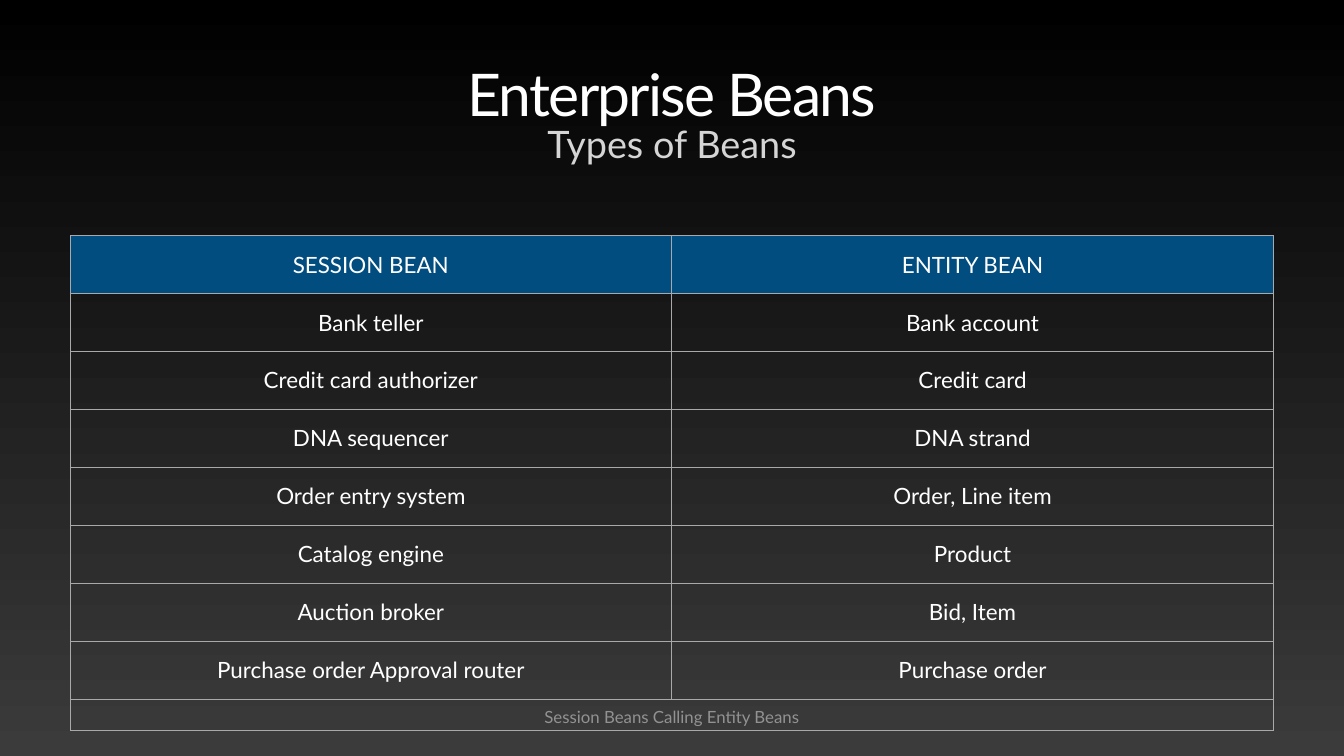
from typing import NamedTuple

from lxml.etree import SubElement
from pptx import Presentation
from pptx.dml.color import RGBColor
from pptx.enum.text import MSO_ANCHOR, MSO_AUTO_SIZE, PP_ALIGN
from pptx.oxml.ns import qn
from pptx.util import Inches, Pt

FONT = "Lato"
INSET = 0.06
COLORS = {
    "top": "000000",
    "bottom": "3B3B3B",
    "text": "FFFFFF",
    "subtitle": "D5D5D5",
    "header": "014D80",
    "border": "A9A9A9",
    "caption": "929292",
}


class BeanPair(NamedTuple):
    session: str
    entity: str


HEADER = BeanPair("SESSION BEAN", "ENTITY BEAN")
PAIRS = [
    BeanPair("Bank teller", "Bank account"),
    BeanPair("Credit card authorizer", "Credit card"),
    BeanPair("DNA sequencer", "DNA strand"),
    BeanPair("Order entry system", "Order, Line item"),
    BeanPair("Catalog engine", "Product"),
    BeanPair("Auction broker", "Bid, Item"),
    BeanPair("Purchase order Approval router", "Purchase order"),
]
CAPTION = "Session Beans Calling Entity Beans"


def color(name: str) -> RGBColor:
    return RGBColor.from_string(COLORS[name])


def write(frame, text: str, *, size: float, tint: str = "text",
          line_spacing: float | None = None, tracking: float = 0) -> None:
    para = frame.paragraphs[0]
    para.alignment = PP_ALIGN.CENTER
    if line_spacing:
        para.line_spacing = line_spacing
    span = para.add_run()
    span.text = text
    span.font.name = FONT
    span.font.size = Pt(size)
    span.font.bold = False
    span.font.color.rgb = color(tint)
    if tracking:
        span.font._element.set("spc", str(round(tracking * 100)))


def place(box, left: float, top: float, width: float, height: float) -> None:
    box.left, box.top = Inches(left), Inches(top)
    box.width, box.height = Inches(width), Inches(height)
    frame = box.text_frame
    frame.word_wrap = True
    frame.auto_size = MSO_AUTO_SIZE.NONE
    frame.margin_left = frame.margin_right = Inches(INSET)
    frame.margin_top = frame.margin_bottom = Inches(INSET)


def add_borders(cell) -> None:
    properties = cell._tc.get_or_add_tcPr()
    for position, side in enumerate(("lnL", "lnR", "lnT", "lnB")):
        line = SubElement(properties, qn(f"a:{side}"), w=str(Pt(1)))
        fill = SubElement(line, qn("a:solidFill"))
        SubElement(fill, qn("a:srgbClr"), val=COLORS["border"])
        properties.insert(position, line)


def format_cell(cell, fill: str | None = None, top_inset: float = INSET) -> None:
    cell.vertical_anchor = MSO_ANCHOR.MIDDLE
    cell.margin_left = cell.margin_right = cell.margin_bottom = Inches(INSET)
    cell.margin_top = Inches(top_inset)
    if fill:
        cell.fill.solid()
        cell.fill.fore_color.rgb = color(fill)
    else:
        cell.fill.background()
    add_borders(cell)


def add_bean_table(page) -> None:
    rows = [HEADER, *PAIRS]
    column_width, row_height, caption_height = 11.94, 1.15, 0.54
    table = page.shapes.add_table(
        len(rows) + 1, 2, Inches(1.39), Inches(4.67), Inches(2 * column_width),
        Inches(len(rows) * row_height + caption_height)).table
    table.first_row = table.horz_banding = False
    for column in table.columns:
        column.width = Inches(column_width)
    for index, pair in enumerate(rows):
        table.rows[index].height = Inches(row_height)
        for cell, text in zip(table.rows[index].cells, pair):
            format_cell(cell, fill="header" if pair is HEADER else None)
            write(cell.text_frame, text, size=32)

    caption_row = table.rows[len(rows)]
    caption_row.height = Inches(caption_height)
    first, last = caption_row.cells
    first.merge(last)
    for cell in (first, last):
        format_cell(cell, top_inset=0.15)
    write(first.text_frame, CAPTION, size=24, tint="caption")


def main() -> None:
    deck = Presentation()
    deck.slide_width, deck.slide_height = Inches(26.67), Inches(15)
    page = deck.slides.add_slide(deck.slide_layouts[5])

    backdrop = page.background.fill
    backdrop.gradient()
    backdrop.gradient_angle = 270
    for stop, name in zip(backdrop.gradient_stops, ("top", "bottom")):
        stop.color.rgb = color(name)

    title = page.shapes.title
    place(title, 1.39, 0.89, 23.89, 1.7)
    title.text_frame.vertical_anchor = MSO_ANCHOR.BOTTOM
    write(title.text_frame, "Enterprise Beans", size=84, line_spacing=0.8, tracking=-2.5)

    subtitle = page.shapes.add_textbox(0, 0, 0, 0)
    place(subtitle, 1.39, 2.33, 23.89, 1.11)
    write(subtitle.text_frame, "Types of Beans", size=54, tint="subtitle")

    add_bean_table(page)
    deck.save("out.pptx")


if __name__ == "__main__":
    main()
